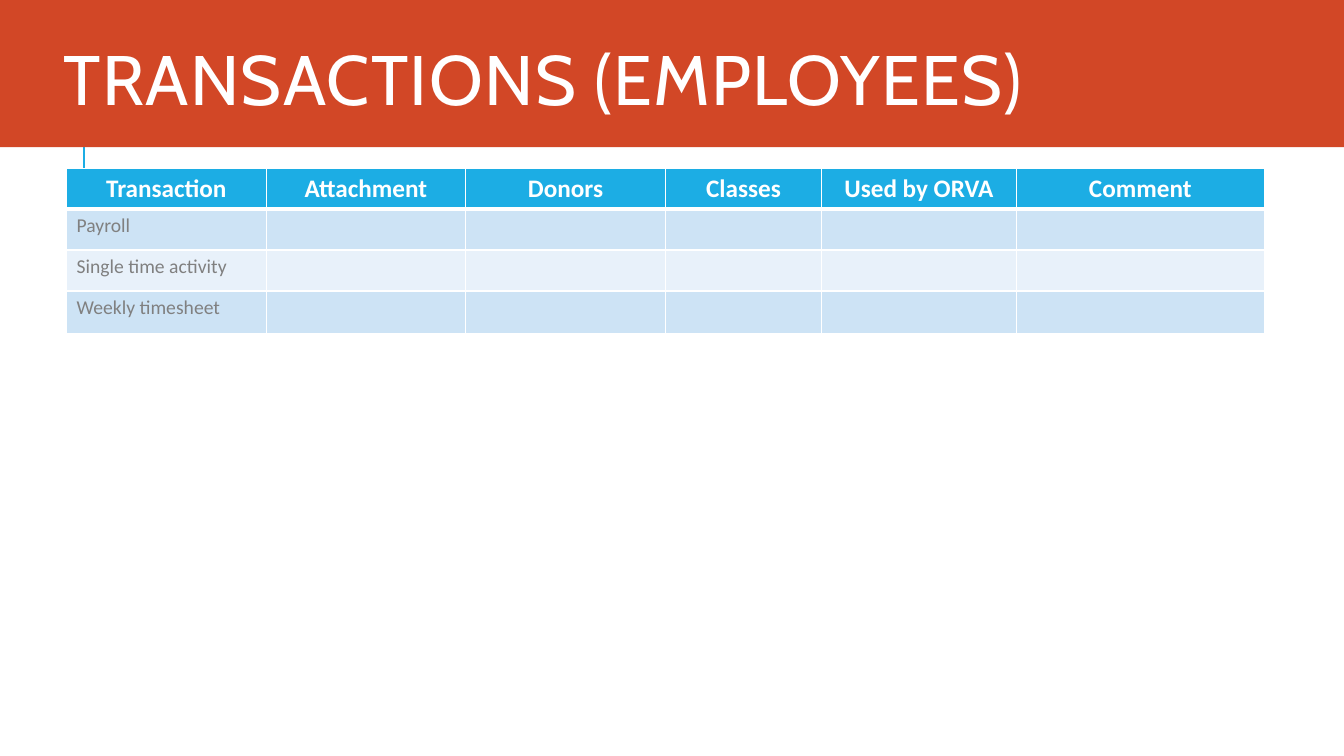
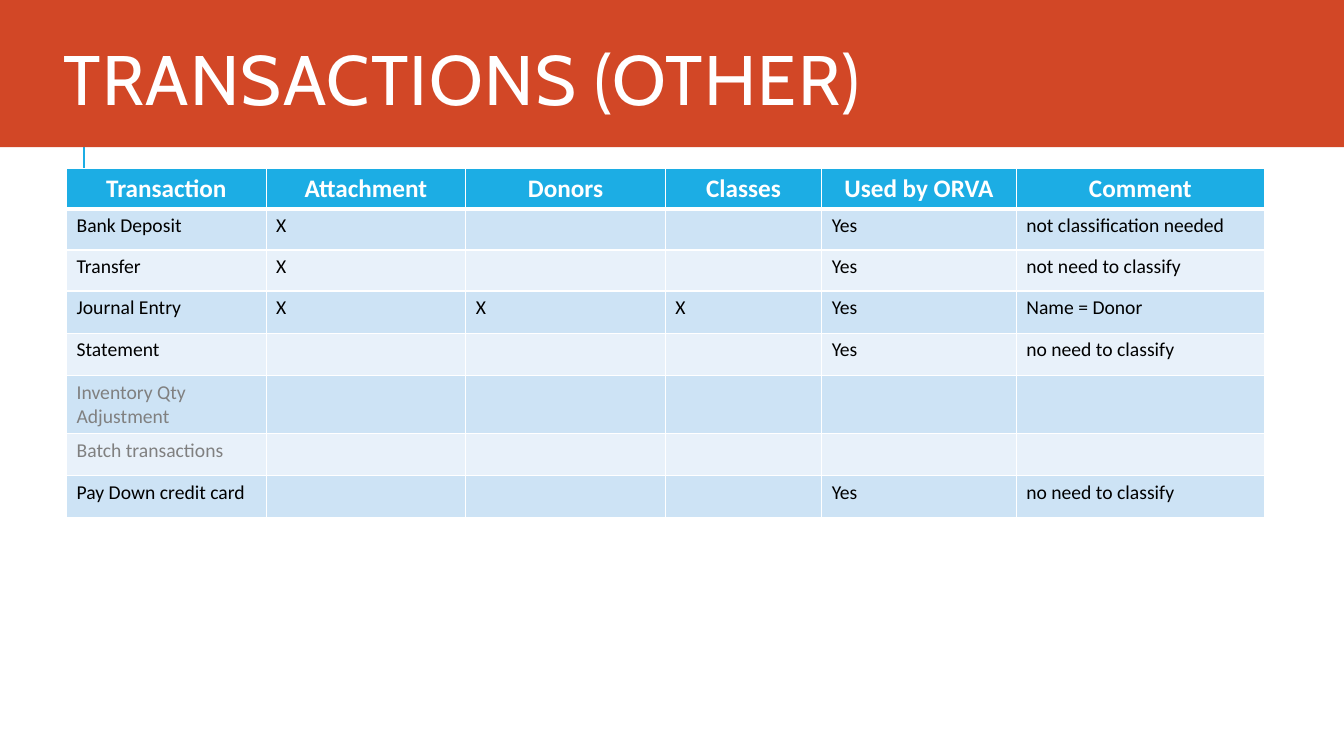
import pptx
import pptx.dml.color
import pptx.enum.shapes
import pptx.enum.text
import pptx.oxml.ns
import pptx.util
from lxml import etree

Inches = pptx.util.Inches
Pt = pptx.util.Pt
ALIGN = pptx.enum.text.PP_ALIGN
ANCHOR = pptx.enum.text.MSO_ANCHOR

WHITE, BLACK, GREY = "FFFFFF", "000000", "808080"
HEADINGS = ["Transaction", "Attachment", "Donors", "Classes", "Used by ORVA", "Comment"]
COLUMN_WIDTHS = [1.98, 1.98, 1.98, 1.55, 1.93, 2.46]

# Each row: text colour, then the cells from the left
EMPLOYEE_ROWS = [
    (GREY, "Payroll"),
    (GREY, "Single time activity"),
    (GREY, "Weekly timesheet"),
]
OTHER_ROWS = [
    (BLACK, "Bank Deposit", "X", "", "", "Yes", "not classification needed"),
    (BLACK, "Transfer", "X", "", "", "Yes", "not need to classify"),
    (BLACK, "Journal Entry", "X", "X", "X", "Yes", "Name = Donor"),
    (BLACK, "Statement", "", "", "", "Yes", "no need to classify"),
    (GREY, "Inventory Qty Adjustment"),
    (GREY, "Batch transactions"),
    (BLACK, "Pay Down credit card", "", "", "", "Yes", "no need to classify"),
]


def rgb(hex_colour):
    return pptx.dml.color.RGBColor.from_string(hex_colour)


def write(frame, text, *, size, font, colour, bold=False, align=ALIGN.LEFT,
          line_spacing=None, letter_spacing=None):
    paragraph = frame.paragraphs[0]
    paragraph.alignment = align
    paragraph.line_spacing = line_spacing
    run = paragraph.add_run()
    run.text = text
    run.font.size = Pt(size)
    run.font.name = font
    run.font.bold = bold
    run.font.color.rgb = rgb(colour)
    if letter_spacing:
        run.font._element.set("spc", str(int(letter_spacing * 100)))


def set_borders(cell, **widths):
    """Draw white cell borders; widths in points by side (L, R, T, B)."""
    properties = cell._tc.get_or_add_tcPr()
    for side, width in widths.items():
        border = etree.SubElement(properties, pptx.oxml.ns.qn("a:ln" + side), w=str(Pt(width)))
        fill = etree.SubElement(border, pptx.oxml.ns.qn("a:solidFill"))
        etree.SubElement(fill, pptx.oxml.ns.qn("a:srgbClr"), val=WHITE)


class Deck:
    BAND, ACCENT = "D24726", "1CADE4"
    STRIPES = ["CDE3F5", "E8F1FA"]
    TITLE_FONT, BODY_FONT = "Cabin", "Calibri"

    def __init__(self):
        self.presentation = pptx.Presentation()
        self.presentation.slide_width = Inches(13.33)
        self.presentation.slide_height = Inches(7.5)
        self.slide = None

    def new_slide(self, title):
        self.slide = self.presentation.slides.add_slide(self.presentation.slide_layouts[5])
        self.accent_line()
        self.band()
        self.title(title)

    def accent_line(self):
        line = self.slide.shapes.add_connector(
            pptx.enum.shapes.MSO_CONNECTOR.STRAIGHT,
            Inches(0.83), Inches(1.9), Inches(0.83), Inches(0.9))
        line.line.color.rgb = rgb(self.ACCENT)
        line.line.width = Pt(1.5)
        etree.SubElement(line.element.spPr, pptx.oxml.ns.qn("a:effectLst"))

    def band(self):
        band = self.slide.shapes.add_shape(
            pptx.enum.shapes.MSO_SHAPE.RECTANGLE,
            0, 0, self.presentation.slide_width, Inches(1.46))
        band.shadow.inherit = False
        band.fill.solid()
        band.fill.fore_color.rgb = rgb(self.BAND)
        band.line.fill.background()

    def title(self, text):
        title = self.slide.shapes.title
        title.left, title.top = Inches(0.53), Inches(0.03)
        title.width, title.height = Inches(12.89), Inches(1.64)
        title.text_frame.auto_size = pptx.enum.text.MSO_AUTO_SIZE.NONE
        title.text_frame.vertical_anchor = ANCHOR.MIDDLE
        write(title.text_frame, text, size=50, font=self.TITLE_FONT, colour=WHITE,
              line_spacing=0.8, letter_spacing=1)
        # Bring the title in front of the band
        title.element.getparent().append(title.element)

    def table(self, rows):
        heights = [0.4 if index < 3 else 0.42 for index in range(len(rows) + 1)]
        table = self.slide.shapes.add_table(
            len(heights), len(HEADINGS), Inches(0.66), Inches(1.67),
            Inches(sum(COLUMN_WIDTHS)), Inches(sum(heights))).table
        table.horz_banding = False
        for column, width in zip(table.columns, COLUMN_WIDTHS):
            column.width = Inches(width)
        for row, height in zip(table.rows, heights):
            row.height = Inches(height)

        # Header row
        for column, heading in enumerate(HEADINGS):
            self.cell(table.cell(0, column), heading, self.ACCENT, bottom=3,
                      size=18, colour=WHITE, bold=True, align=ALIGN.CENTER)

        # Striped body rows
        for index, (colour, *texts) in enumerate(rows):
            texts += [""] * (len(HEADINGS) - len(texts))
            for column, text in enumerate(texts):
                self.cell(table.cell(index + 1, column), text, self.STRIPES[index % 2],
                          top=1 if index else 3, size=14, colour=colour)

    def cell(self, cell, text, fill, top=1, bottom=1, **text_format):
        set_borders(cell, L=1, R=1, T=top, B=bottom)
        cell.fill.solid()
        cell.fill.fore_color.rgb = rgb(fill)
        if text:
            write(cell.text_frame, text, font=self.BODY_FONT, **text_format)


def main():
    deck = Deck()
    for title, rows in [("TRANSACTIONS (EMPLOYEES)", EMPLOYEE_ROWS),
                        ("TRANSACTIONS (OTHER)", OTHER_ROWS)]:
        deck.new_slide(title)
        deck.table(rows)
    deck.presentation.save("out.pptx")


if __name__ == "__main__":
    main()
